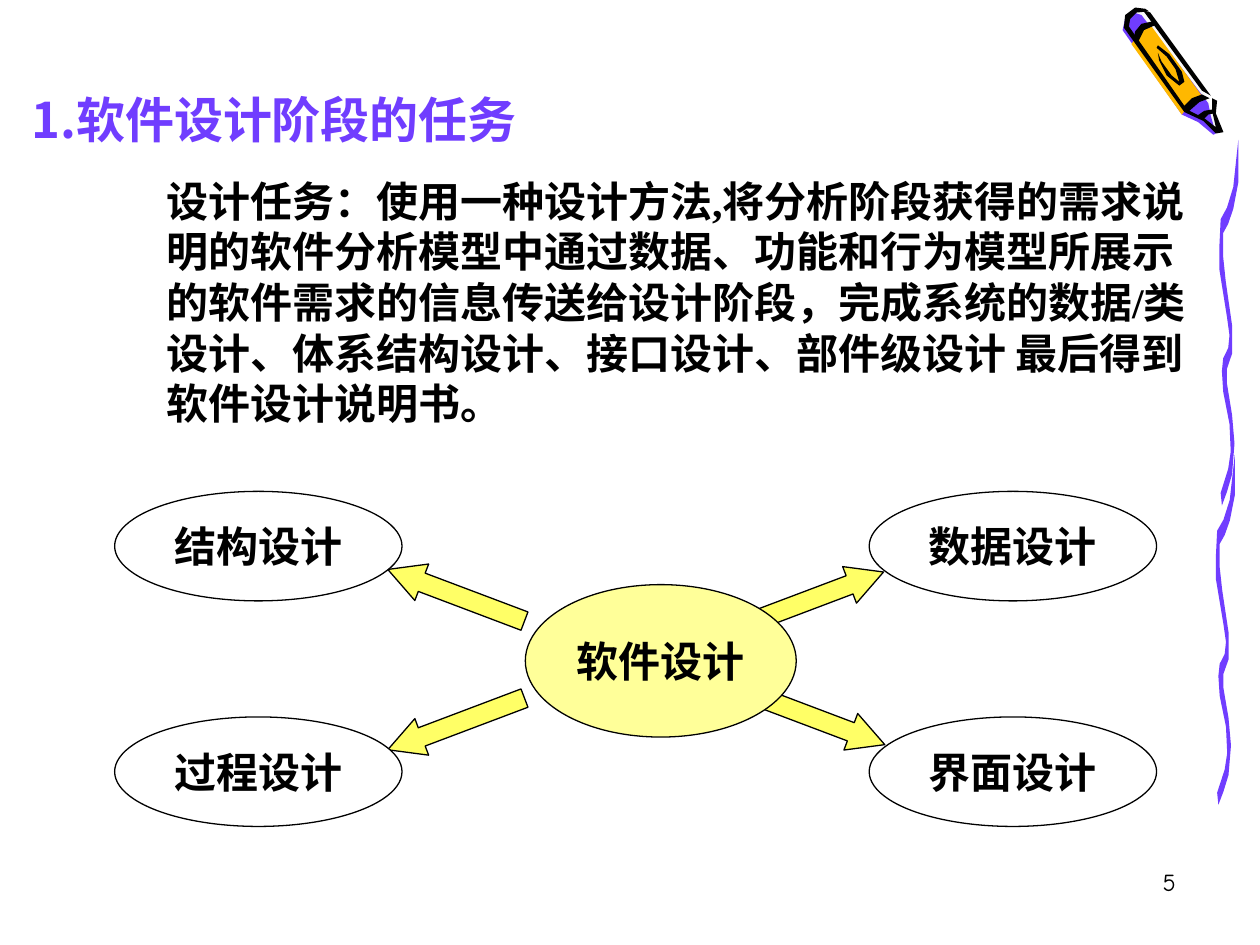
from collections import namedtuple

from lxml import etree
from pptx import Presentation
from pptx.dml.color import RGBColor
from pptx.enum.shapes import MSO_SHAPE
from pptx.enum.text import MSO_ANCHOR, MSO_AUTO_SIZE, PP_ALIGN
from pptx.oxml.ns import qn
from pptx.util import Pt

ELLIPSE, ARROW = MSO_SHAPE.OVAL, MSO_SHAPE.RIGHT_ARROW
LEFT, CENTER, RIGHT = PP_ALIGN.LEFT, PP_ALIGN.CENTER, PP_ALIGN.RIGHT
TOP, MIDDLE, BOTTOM = MSO_ANCHOR.TOP, MSO_ANCHOR.MIDDLE, MSO_ANCHOR.BOTTOM
NO_FIT = MSO_AUTO_SIZE.NONE

BLACK = RGBColor(0x00, 0x00, 0x00)
WHITE = RGBColor(0xFF, 0xFF, 0xFF)
OFF_WHITE = RGBColor(0xF8, 0xF8, 0xF8)
PURPLE = RGBColor(0x70, 0x3D, 0xFF)
ORANGE = RGBColor(0xFF, 0xB8, 0x00)
YELLOW = RGBColor(0xFF, 0xFF, 0x66)
PALE_YELLOW = RGBColor(0xFF, 0xFF, 0x99)

SERIF, SANS, COMIC = "Times New Roman", "Noto Sans CJK JP", "Comic Neue"
Box = namedtuple("Box", "left top width height")

# Outlines are drawn on grids that are stretched to fill their box.
SQUIGGLE_GRID = (15, 318)
SQUIGGLE = [
    (1, 307), (7, 286), (9, 271), (8, 247), (3, 219), (2, 201), (3, 190),
    (7, 181), (8, 170), (6, 154), (0, 113), (0, 92), (1, 69), (6, 59),
    (11, 41), (15, 0), (15, 37), (11, 60), (7, 73), (3, 81), (3, 102),
    (5, 123), (10, 161), (10, 186), (6, 199), (6, 212), (10, 239),
    (12, 264), (10, 291), (6, 306), (2, 318)]

CRAYON_GRID = (80, 101)
CRAYON_PARTS = [
    (OFF_WHITE, [(77, 97), (72, 82), (61, 60), (18, 3), (11, 1), (5, 6),
                 (3, 16), (50, 82), (65, 89), (75, 98)]),
    (PURPLE, [(15, 6), (68, 76), (70, 86), (74, 100), (72, 101), (60, 91),
              (47, 85), (0, 18), (2, 9), (9, 4)]),
    (ORANGE, [(7, 29), (47, 85), (55, 75), (65, 73), (23, 15), (14, 19)]),
    (BLACK, [(71, 81), (65, 82), (59, 86), (65, 88), (68, 85), (73, 84)]),
    (BLACK, [(18, 1), (10, 0), (2, 6), (1, 16), (49, 83), (64, 90),
             (74, 100), (80, 99), (74, 84), (75, 74), (71, 72), (71, 82),
             (74, 95), (65, 88), (53, 82), (61, 75), (69, 72), (63, 69),
             (55, 72), (49, 78), (5, 15), (6, 9), (11, 4), (21, 3)]),
    (BLACK, [(22, 4), (70, 70), (63, 66), (16, 2)]),
    (BLACK, [(24, 11), (15, 13), (10, 19), (9, 24), (12, 28), (17, 18),
             (26, 14)]),
    (BLACK, [(27, 32), (35, 39), (42, 49), (45, 59), (39, 54), (31, 43),
             (28, 36), (29, 42), (35, 54), (45, 62), (49, 59), (47, 51),
             (37, 37), (28, 30)]),
]


def points(box):
    return [Pt(length) for length in box]


def write(shape, text, size, font=SERIF, color=BLACK, bold=True, align=LEFT,
          anchor=TOP, wrap=True):
    frame = shape.text_frame
    frame.word_wrap = wrap
    frame.auto_size = NO_FIT
    frame.vertical_anchor = anchor
    frame.margin_left = frame.margin_right = Pt(7.2)
    frame.margin_top = frame.margin_bottom = Pt(3.6)
    para = frame.paragraphs[0]
    para.alignment = align
    span = para.add_run()
    span.text = text
    span.font.name = font
    span.font.size = Pt(size)
    span.font.bold = bold
    span.font.color.rgb = color
    east_asian = etree.SubElement(span.font._element, qn("a:ea"))
    east_asian.set("typeface", SANS)
    return para


def add_outline(page, box, grid, corners, color):
    scale = (Pt(box.width) / grid[0], Pt(box.height) / grid[1])
    builder = page.shapes.build_freeform(*corners[0], scale=scale)
    builder.add_line_segments(corners[1:], close=True)
    shape = builder.convert_to_shape(Pt(box.left), Pt(box.top))
    shape.shadow.inherit = False
    shape.fill.solid()
    shape.fill.fore_color.rgb = color
    shape.line.fill.background()


def add_outlined(page, kind, box, color):
    """Add a preset shape with a thin black line."""
    shape = page.shapes.add_shape(kind, *points(box))
    shape.shadow.inherit = False
    shape.fill.solid()
    shape.fill.fore_color.rgb = color
    shape.line.color.rgb = BLACK
    shape.line.width = Pt(0.75)
    return shape


def add_side_squiggle(page, box):
    overlap = 49
    lower_height = 200
    upper_height = box.height - lower_height + overlap - 20
    lower_top = box.top + box.height - lower_height
    add_outline(page, Box(box.left, lower_top, 10.8, lower_height),
                SQUIGGLE_GRID, SQUIGGLE, PURPLE)
    add_outline(page, Box(box.left + 2, box.top, 10.8, upper_height),
                SQUIGGLE_GRID, SQUIGGLE, PURPLE)


def add_crayon(page, box):
    for color, corners in CRAYON_PARTS:
        add_outline(page, box, CRAYON_GRID, corners, color)


def add_title(page, box):
    title = page.shapes.title
    title.left, title.top, title.width, title.height = points(box)
    write(title, "1.软件设计阶段的任务", 28, SANS, PURPLE, anchor=BOTTOM)


def add_task_text(page, box):
    shape = page.shapes.add_textbox(*points(box))
    para = write(
        shape,
        "设计任务：使用一种设计方法,将分析阶段获得的需求说明的软件分析模型中"
        "通过数据、功能和行为模型所展示的软件需求的信息传送给设计阶段，"
        "完成系统的数据/类设计、体系结构设计、接口设计、部件级设计 "
        "最后得到软件设计说明书。", 24)
    para.line_spacing = Pt(28.9)
    shape.text_frame.margin_left = Pt(43.2)


def add_design_diagram(page, box):
    arrows = [(153.4, 121.7, 159.3), (359.3, 118.8, 20.7),
              (153.4, 48.2, 200.7), (358.6, 49.7, 339.3)]
    for left, top, angle in arrows:
        arrow = add_outlined(
            page, ARROW, Box(box.left + left, box.top + top, 83.5, 22.3), YELLOW)
        arrow.adjustments[0], arrow.adjustments[1] = 0.5, 0.93
        arrow.rotation = angle

    width, height = 164.2, 62.6
    right = box.left + box.width - width
    bottom = box.top + box.height - height
    ellipses = [
        ("过程设计", Box(box.left, bottom, width, height), WHITE),
        ("结构设计", Box(box.left, box.top, width, height), WHITE),
        ("数据设计", Box(right, box.top, width, height), WHITE),
        ("界面设计", Box(right, bottom, width, height), WHITE),
        ("软件设计", Box(box.left + 234.7, box.top + 53.3, 154.8, 87.1),
         PALE_YELLOW),
    ]
    for label, place, color in ellipses:
        ellipse = add_outlined(page, ELLIPSE, place, color)
        write(ellipse, label, 24, align=CENTER, anchor=MIDDLE, wrap=False)


def add_page_number(page, box):
    shape = page.shapes.add_textbox(*points(box))
    write(shape, "5", 14, COMIC, bold=False, align=RIGHT)


def main():
    deck = Presentation()
    deck.slide_width, deck.slide_height = Pt(720), Pt(540)
    page = deck.slides.add_slide(deck.slide_layouts[5])
    add_side_squiggle(page, Box(694.8, 79.9, 12.8, 380))
    add_crayon(page, Box(641.5, 4.3, 57.6, 72.7))
    add_page_number(page, Box(529.2, 491.8, 149.8, 36))
    add_task_text(page, Box(51.8, 96.5, 637.9, 151.2))
    add_design_diagram(page, Box(65.5, 280.8, 595.4, 191.5))
    add_title(page, Box(10.8, 36, 682.6, 52.6))
    deck.save("out.pptx")


if __name__ == "__main__":
    main()
